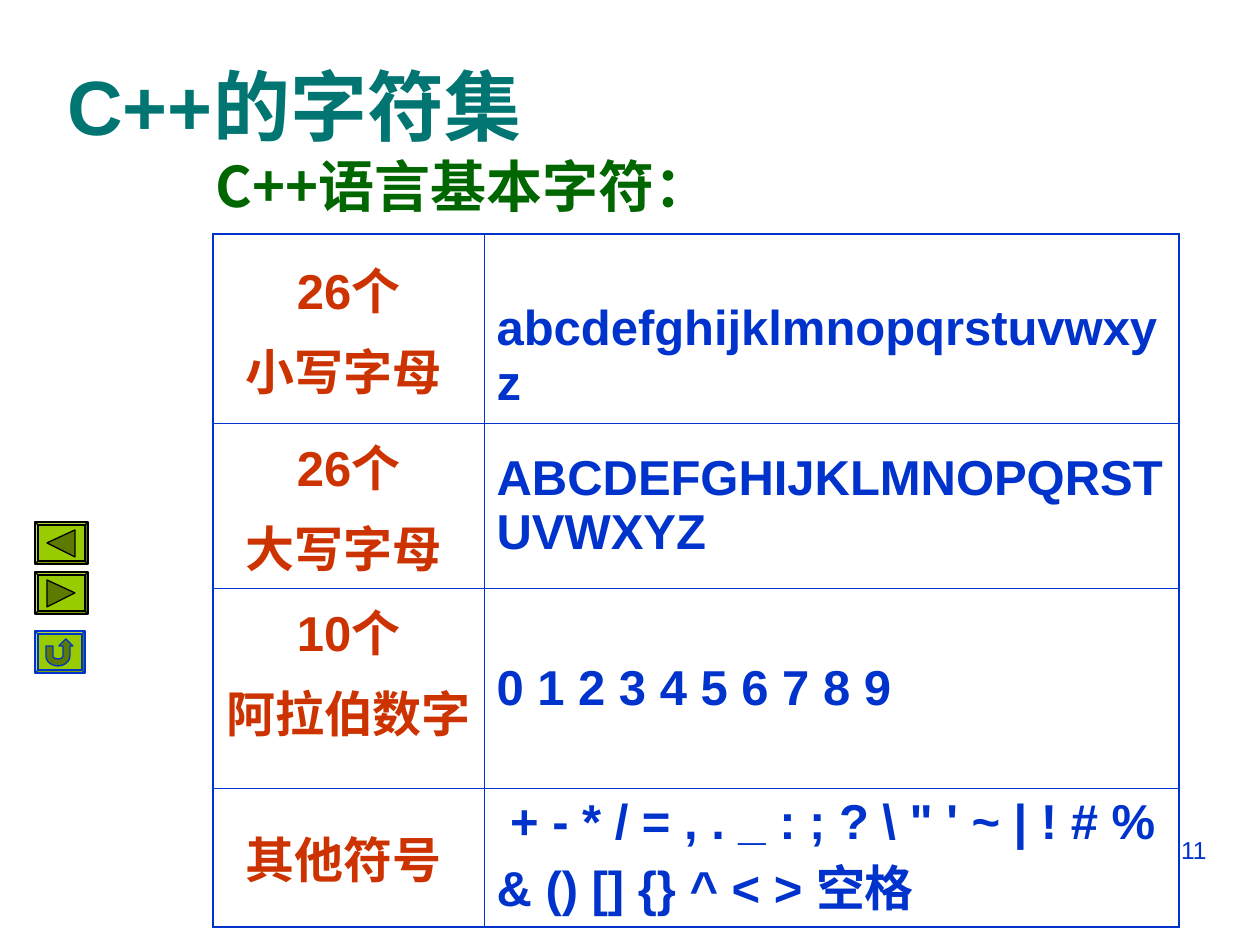
from math import cos, pi, sin

from lxml import etree
from pptx import Presentation
from pptx.dml.color import RGBColor
from pptx.enum.shapes import MSO_SHAPE
from pptx.enum.text import MSO_ANCHOR, PP_ALIGN
from pptx.oxml.ns import qn
from pptx.util import Emu, Pt

SCALE = 914400 / 126  # EMU per px

BLUE = RGBColor(0x00, 0x33, 0xCC)
RED = RGBColor(0xCC, 0x33, 0x00)
TEAL = RGBColor(0x00, 0x75, 0x72)
GREEN = RGBColor(0x00, 0x66, 0x00)
LIME = RGBColor(0x99, 0xCC, 0x00)
OLIVE = RGBColor(0x5C, 0x7A, 0x00)
BLACK = RGBColor(0x00, 0x00, 0x00)

LATIN, CJK = "Arial", "Noto Sans CJK SC"
LEFT, CENTER, RIGHT = PP_ALIGN.LEFT, PP_ALIGN.CENTER, PP_ALIGN.RIGHT
TOP, MIDDLE = MSO_ANCHOR.TOP, MSO_ANCHOR.MIDDLE
BEVEL = MSO_SHAPE.BEVEL

INNER_LINE, OUTER_LINE = Pt(0.45), Pt(1.08)
COLUMNS = [271, 695]
ROWS = [189, 165, 200, 139]
# Per row: label lines, label anchor, runs of characters
CHARACTER_SETS = [
    (["26个", "小写字母"], MIDDLE, [" ", "abcdefghijklmnopqrstuvwxyz"]),
    (["26个", "大写字母"], MIDDLE, ["ABCDEFGHIJKLMNOPQRSTUVWXYZ"]),
    (["10个", "阿拉伯数字"], TOP, ["0 1 2 3 4 5 6 7 8 9"]),
    (["其他符号"], MIDDLE,
     [" ", "+ - * / = , . _ : ; ? \\ \" ' ~ | ! # % & () [] {} ^ < > 空格"]),
]


def px(length):
    return Emu(round(length * SCALE))


def add_run(paragraph, text, size, color, bold=True, latin=LATIN):
    run = paragraph.add_run()
    run.text = text
    font = run.font
    font.size, font.bold, font.name = Pt(size), bold, latin
    font.color.rgb = color
    east_asian = etree.SubElement(run._r.get_or_add_rPr(), qn("a:ea"))
    east_asian.set("typeface", CJK)


def add_text(slide, box, text, size, color, bold=True, latin=LATIN,
             align=LEFT, anchor=TOP):
    frame = slide.shapes.add_textbox(*map(px, box)).text_frame
    frame.word_wrap = True
    frame.vertical_anchor = anchor
    frame.paragraphs[0].alignment = align
    add_run(frame.paragraphs[0], text, size, color, bold, latin)


def set_borders(cell, widths):
    properties = cell._tc.get_or_add_tcPr()
    for position, (side, width) in enumerate(zip("LRTB", widths)):
        line = etree.Element(qn(f"a:ln{side}"), w=str(width))
        fill = etree.SubElement(line, qn("a:solidFill"))
        etree.SubElement(fill, qn("a:srgbClr"), val=str(BLUE))
        properties.insert(position, line)


def fill_label(cell, lines):
    frame = cell.text_frame
    for index, text in enumerate(lines):
        paragraph = frame.add_paragraph() if index else frame.paragraphs[0]
        if index:
            paragraph.space_before = Pt(6)
        paragraph.alignment = CENTER
        add_run(paragraph, text, 28, RED)
    add_run(paragraph, " ", 24, BLUE)


def fill_characters(cell, parts):
    for text in parts:
        add_run(cell.text_frame.paragraphs[0], text, 28, BLUE, bold=text != " ")


def add_character_table(slide, left, top):
    box = (left, top, sum(COLUMNS), sum(ROWS))
    table = slide.shapes.add_table(len(ROWS), len(COLUMNS), *map(px, box)).table
    table.first_row = table.horz_banding = False
    for column, width in zip(table.columns, COLUMNS):
        column.width = px(width)
    for row, height in zip(table.rows, ROWS):
        row.height = px(height)

    last = len(ROWS) - 1
    for r, (label, anchor, characters) in enumerate(CHARACTER_SETS):
        label_cell, character_cell = table.cell(r, 0), table.cell(r, 1)
        fill_label(label_cell, label)
        fill_characters(character_cell, characters)
        label_cell.vertical_anchor = anchor
        character_cell.vertical_anchor = MIDDLE
        for c, cell in enumerate((label_cell, character_cell)):
            cell.fill.background()
            outer = (c == 0, c == 1, r == 0, r == last)
            set_borders(cell, [OUTER_LINE if o else INNER_LINE for o in outer])


def style_shape(shape, fill, line):
    shape.shadow.inherit = False
    shape.fill.solid()
    shape.fill.fore_color.rgb = fill
    shape.line.color.rgb = line
    shape.line.width = Pt(0.75)


def half_ring(center_x, center_y, radius_x, radius_y, steps=16):
    """Lower half of an ellipse, from left to right."""
    angles = [pi - pi * i / steps for i in range(steps + 1)]
    return [(center_x + radius_x * cos(a), center_y + radius_y * sin(a))
            for a in angles]


def return_icon():
    inner = half_ring(23, 25, 5, 3)
    outer = half_ring(23, 25, 12, 10)
    head = [(28, 15), (24, 15), (31, 8), (38, 15), (35, 15)]
    return [(11, 15), (18, 15)] + inner + head + outer[::-1]


def add_button(slide, left, top, width, icon, line):
    height = 42
    button = slide.shapes.add_shape(BEVEL, *map(px, (left, top, width, height)))
    button.adjustments[0] = 0.07
    style_shape(button, LIME, line)

    points = [(px(left + x), px(top + y)) for x, y in icon]
    builder = slide.shapes.build_freeform(*points[0])
    builder.add_line_segments(points[1:], close=True)
    style_shape(builder.convert_to_shape(), OLIVE, line)


def main():
    presentation = Presentation()
    presentation.slide_width, presentation.slide_height = px(1260), px(945)
    slide = presentation.slides.add_slide(presentation.slide_layouts[6])

    # Page number and headings
    add_text(slide, (904, 829, 315, 66), "11", 14, BLUE, bold=False, align=RIGHT)
    add_text(slide, (55, 26, 655, 158), "C++的字符集", 44, TEAL, anchor=MIDDLE)
    add_text(slide, (203, 145, 1018, 81), "C++语言基本字符：", 32, GREEN, latin=CJK)

    # Character sets
    add_character_table(slide, 213, 234)

    # Navigation buttons
    add_button(slide, 35, 522, 53, [(12, 21), (40, 8), (40, 35)], BLACK)
    add_button(slide, 35, 572, 53, [(12, 8), (40, 21), (12, 35)], BLACK)
    add_button(slide, 35, 631, 50, return_icon(), BLUE)

    presentation.save("out.pptx")


if __name__ == "__main__":
    main()
